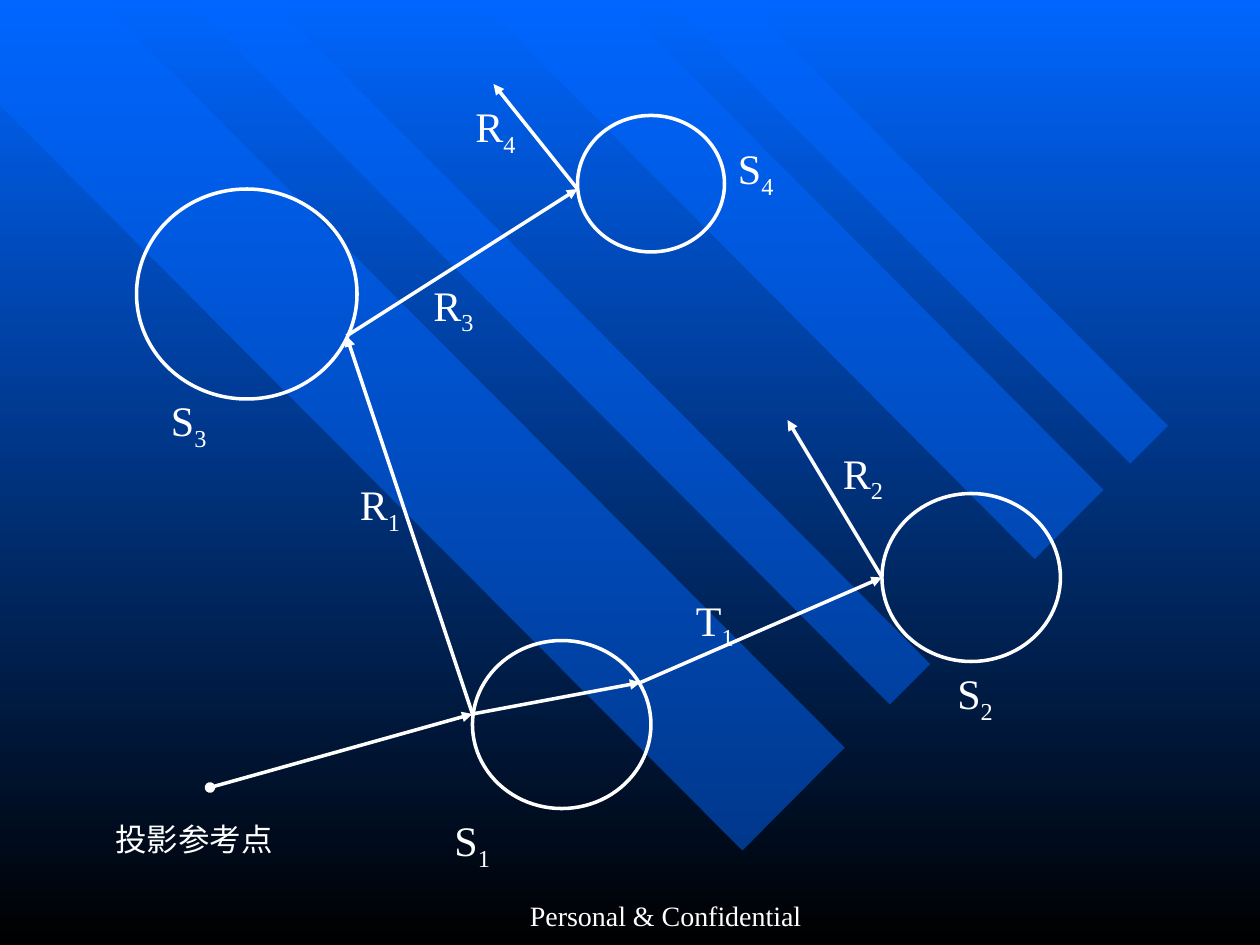
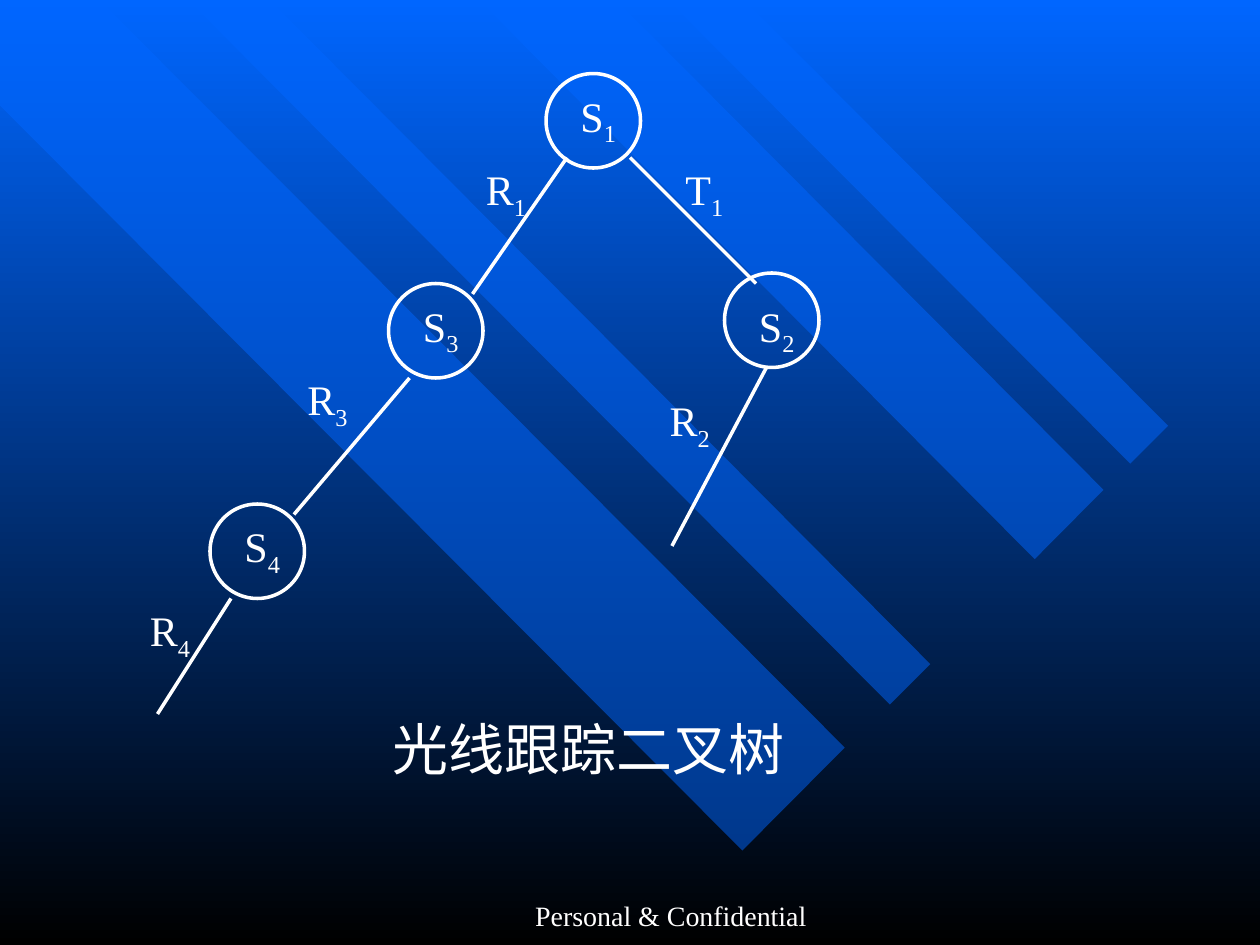
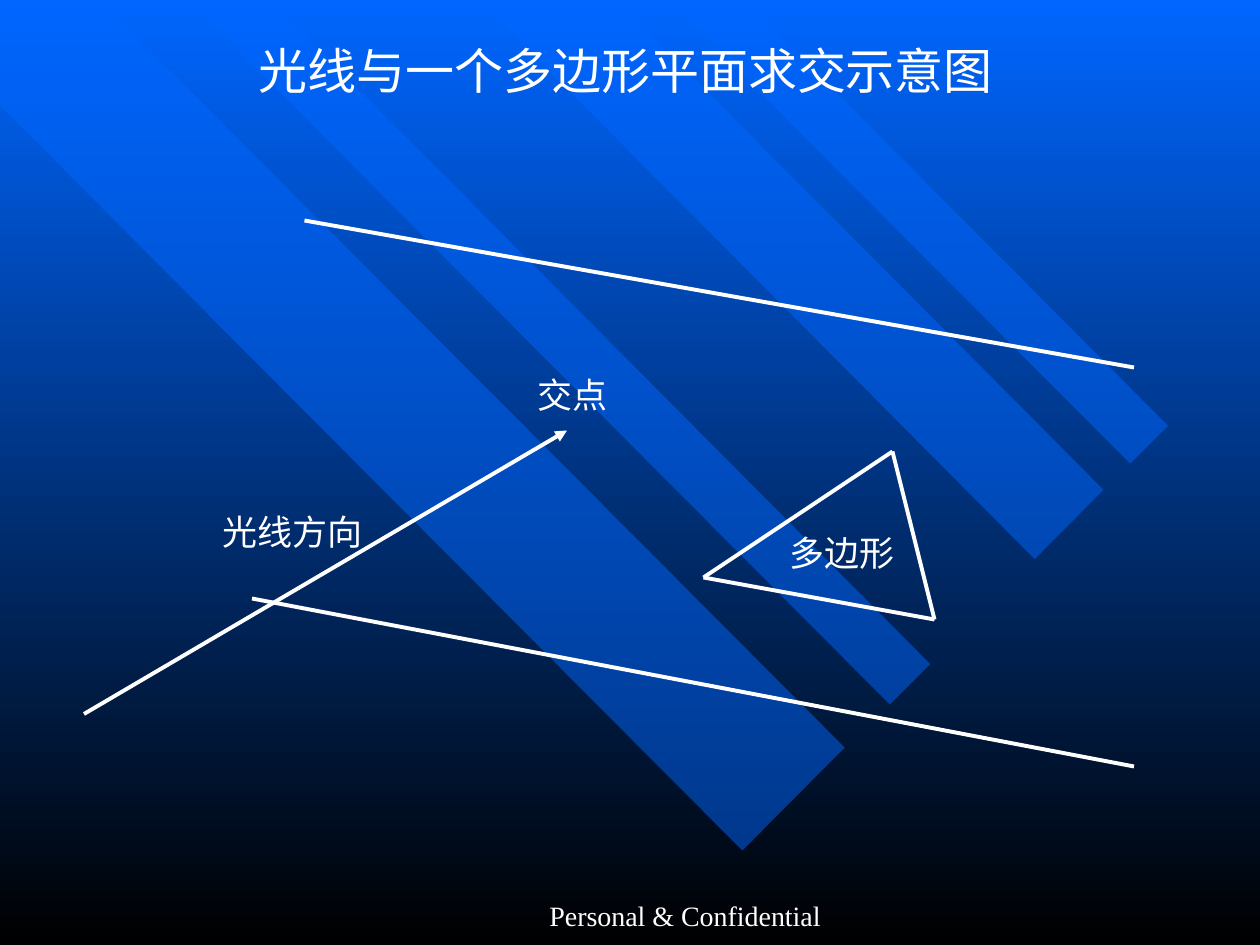
from pptx import Presentation
from pptx import util as u
from pptx.dml.color import RGBColor
from pptx.enum import shapes, text
from pptx.oxml.ns import qn
from lxml import etree

BLUE = RGBColor(0x00, 0x66, 0xFF)
BLACK = RGBColor(0x00, 0x00, 0x00)
WHITE = RGBColor(0xFF, 0xFF, 0xFF)
FONT = "Times New Roman"

deck = Presentation()
deck.slide_width = u.Inches(10)
deck.slide_height = u.Inches(7.5)
COLUMNS = 120
CELL = deck.slide_width // COLUMNS


def add_label(page, words, size, left, top, width, subscript="", align=text.PP_ALIGN.LEFT):
    line_factor = 1.38 if subscript else 1.22
    height = u.Pt(size * line_factor) + u.Inches(0.1)
    box = page.shapes.add_textbox(int(left * CELL), int(top * CELL), int(width * CELL), height)
    frame = box.text_frame
    frame.word_wrap = False
    frame.auto_size = text.MSO_AUTO_SIZE.SHAPE_TO_FIT_TEXT
    frame.text = words
    para = frame.paragraphs[0]
    para.alignment = align
    if subscript:
        span = para.add_run()
        span.text = subscript
        span._r.get_or_add_rPr().set("baseline", "-25000")
    for span in para.runs:
        span.font.name = FONT
        span.font.size = u.Pt(size)
        span.font.color.rgb = WHITE
    return box


def add_line(page, start, end, weight, head=None, tail=None):
    line = page.shapes.add_connector(
        shapes.MSO_CONNECTOR.STRAIGHT, *(value * CELL for value in start + end))
    line.line.color.rgb = WHITE
    line.line.width = u.Pt(weight)
    outline = line.line._get_or_add_ln()
    for tag, kind in (("a:headEnd", head), ("a:tailEnd", tail)):
        if kind:
            etree.SubElement(outline, qn(tag)).set("type", kind)
    etree.SubElement(line._element.spPr, qn("a:effectLst"))


background = deck.slide_master.background.fill
background.gradient()
background.gradient_angle = 270
for stop, color in zip(background.gradient_stops, (BLUE, BLACK)):
    stop.color.rgb = color

bands = [
    [(80.45, 71.2), (9.5, 0), (0, 0), (0, 10.05), (70.7, 81)],
    [(25.7, 0), (88.6, 63.25), (84.75, 67.1), (17.9, 0)],
    [(58.7, 0), (105.1, 46.65), (98.55, 53.25), (45.6, 0)],
    [(63.6, 0), (107.65, 44.15), (111.25, 40.55), (70.9, 0)],
]
footer_widths = [44.8, 45.8, 48.5]

pages = []
for footer_width in footer_widths:
    page = deck.slides.add_slide(deck.slide_layouts[6])
    for band in bands:
        corners = [(int(x * CELL), int(y * CELL)) for x, y in band]
        builder = page.shapes.build_freeform(*corners[0], scale=1.0)
        builder.add_line_segments(corners[1:], close=True)
        stripe = builder.convert_to_shape()
        stripe.shadow.inherit = False
        stripe.line.fill.background()
        stripe.fill.solid()
        stripe.fill.fore_color.rgb = BLUE
        color = stripe._element.spPr.find(".//" + qn("a:srgbClr"))
        etree.SubElement(color, qn("a:alpha")).set("val", "50000")
    footer = add_label(page, "Personal & Confidential", 16, 41, 85, footer_width,
                       align=text.PP_ALIGN.CENTER)
    footer.text_frame.word_wrap = True
    footer.text_frame.auto_size = text.MSO_AUTO_SIZE.NONE
    footer.height = 6 * CELL
    pages.append(page)
scene, tree, polygon = pages

spheres = [(84, 47, 17, 16), (45, 61, 17, 16), (55, 11, 14, 13), (13, 18, 21, 20)]
nodes = [(52, 7, 9, 9), (37, 27, 9, 9), (69, 26, 9, 9), (20, 48, 9, 9)]
for page, circles in ((scene, spheres), (tree, nodes)):
    for circle in circles:
        ring = page.shapes.add_shape(
            shapes.MSO_SHAPE.OVAL, *(value * CELL for value in circle))
        ring.shadow.inherit = False
        ring.fill.background()
        ring.line.color.rgb = WHITE
        ring.line.width = u.Pt(2)

eye, hit_1, exit_1 = (20, 75), (45, 68), (61, 65)
hit_2, hit_3, hit_4 = (84, 55), (33, 32), (55, 18)
add_line(scene, eye, hit_1, 2, head="oval", tail="triangle")
for start, end in [(hit_1, hit_3), (hit_1, exit_1), (exit_1, hit_2),
                   (hit_2, (75, 40)), (hit_3, hit_4), (hit_4, (47, 8))]:
    add_line(scene, start, end, 2, tail="triangle")

for start, end in [((54, 15), (45, 28)), ((60, 15), (72, 27)), ((39, 36), (28, 49)),
                   ((22, 57), (15, 68)), ((73, 35), (64, 52))]:
    add_line(tree, start, end, 2)

label_widths = {"S": 5.8, "T": 6, "R": 6.2}
scene_labels = [("S1", 42, 77), ("S2", 89.9, 63), ("S3", 15, 37), ("S4", 69, 13),
                ("T1", 65, 56), ("R2", 79, 42), ("R1", 33, 45), ("R3", 40, 26),
                ("R4", 44, 9)]
tree_labels = [("S1", 54, 8), ("S3", 39, 28), ("S2", 71, 28), ("S4", 22, 49),
               ("R1", 45, 15), ("T1", 64, 15), ("R3", 28, 35), ("R2", 62.5, 37),
               ("R4", 13, 57)]
for page, labels in ((scene, scene_labels), (tree, tree_labels)):
    for (letter, number), left, top in labels:
        add_label(page, letter, 24, left + 0.1, top, label_widths[letter], number)
add_label(scene, "投影参考点", 18, 9.8, 77.5, 17.5)
add_label(tree, "光线跟踪二叉树", 32, 36.2, 67.5, 40)

add_label(polygon, "光线与一个多边形平面求交示意图", 28, 23.3, 3.3, 72.6,
          align=text.PP_ALIGN.CENTER)
apex, left_corner, right_corner = (85, 43), (67, 55), (89, 59)
for start, end in [((29, 21), (108, 35)), ((24, 57), (108, 73)), (apex, left_corner),
                   (left_corner, right_corner), (right_corner, apex)]:
    add_line(polygon, start, end, 2.25)
add_line(polygon, (8, 68), (54, 41), 2.25, tail="triangle")
for words, left, top, width in [("交点", 50, 35, 9.2), ("多边形", 74, 50, 12.5),
                                ("光线方向", 20, 48, 15.9)]:
    add_label(polygon, words, 20, left, top, width)

deck.save("out.pptx")
